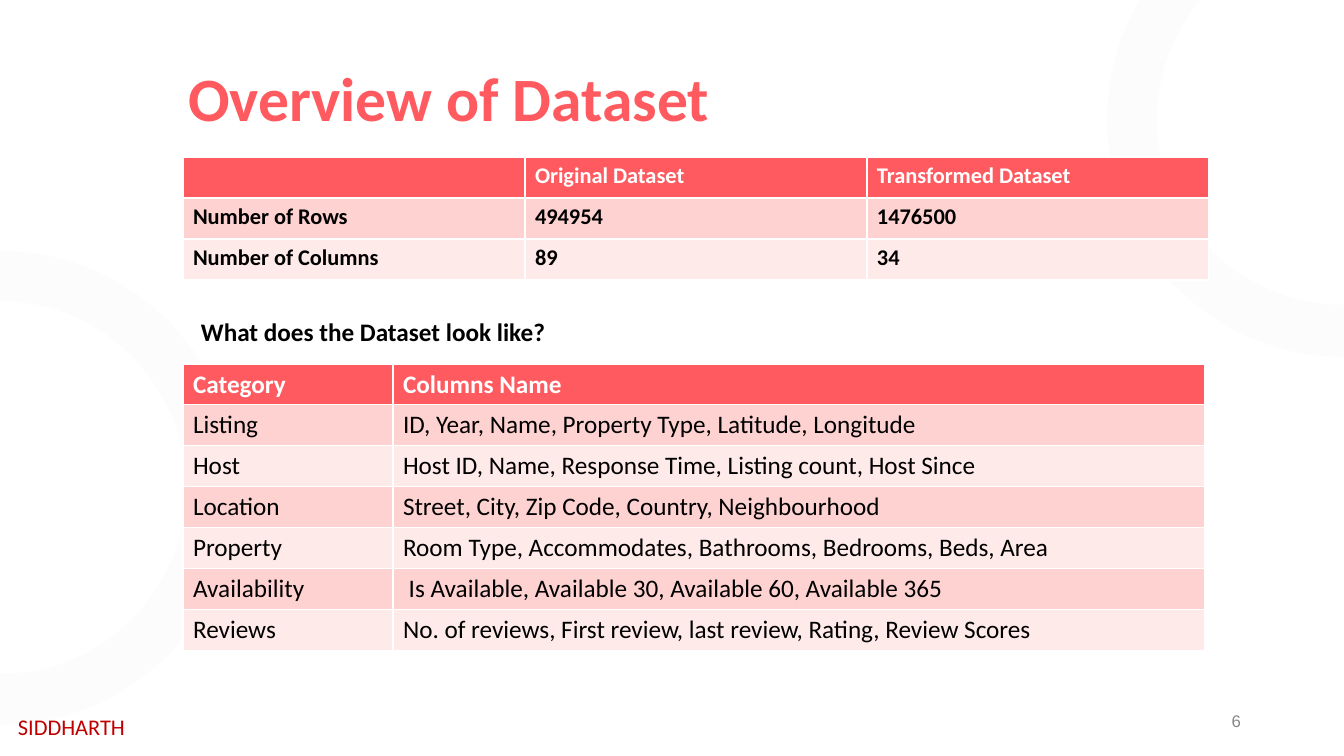
"""Build the dataset overview slide with its two tables."""
import pptx
import pptx.dml.color
import pptx.enum.text
import pptx.oxml.ns
import pptx.util
from lxml import etree

PX = 914400 / 100.8
COLORS = {
    "coral": "FF5A5F", "pink": "FFD2D2", "blush": "FFEAEA", "white": "FFFFFF",
    "black": "000000", "red": "C00000", "gray": "888888", "ring": "F2F2F2",
}
ALIGN = pptx.enum.text.PP_ALIGN
ANCHOR = pptx.enum.text.MSO_ANCHOR
qn = pptx.oxml.ns.qn


def px(*lengths):
    return [round(length * PX) for length in lengths]


def write(frame, text, size, color, bold=False, font="Calibri", align=ALIGN.LEFT):
    frame.word_wrap = True
    para = frame.paragraphs[0]
    para.text = text
    para.alignment = align
    para.font.name = font
    para.font.size = pptx.util.Pt(size)
    para.font.bold = bold
    para.font.color.rgb = pptx.dml.color.RGBColor.from_string(COLORS[color])


deck = pptx.Presentation()
deck.slide_width, deck.slide_height = px(1344, 756)
page = deck.slides.add_slide(deck.slide_layouts[5])

# One point is a straight step, three points are a curve
rings = [
    ((0, 251), [
        [(131, 251), (237, 357), (237, 488)], [(237, 619), (131, 725), (0, 725)],
        [(0, 674)],
        [(103, 674), (186, 591), (186, 488)], [(186, 385), (103, 301), (0, 301)],
    ]),
    ((1140, 0), [
        [(1200, 0)],
        [(1173, 33), (1157, 74), (1157, 120)], [(1157, 223), (1241, 305), (1344, 305)],
        [(1344, 357)],
        [(1213, 357), (1107, 250), (1107, 120)], [(1107, 79), (1118, 38), (1136, 7)],
    ]),
]
for depth, (start, steps) in enumerate(rings):
    builder = page.shapes.build_freeform(*px(*start))
    builder.add_line_segments([px(*point) for step in steps for point in step])
    ring = builder.convert_to_shape()
    lines = iter(ring.element.findall(".//" + qn("a:lnTo")))
    for step in steps:
        line = next(lines)
        if len(step) == 3:
            line.tag_name = None
            curve = etree.Element(qn("a:cubicBezTo"))
            line.addprevious(curve)
            for part in (line, next(lines), next(lines)):
                curve.append(part[0])
                part.getparent().remove(part)
    ring.shadow.inherit = False
    ring.line.fill.background()
    ring.fill.solid()
    ring.fill.fore_color.rgb = pptx.dml.color.RGBColor.from_string(COLORS["ring"])
    tint = ring.element.spPr.find(".//" + qn("a:srgbClr"))
    etree.SubElement(tint, qn("a:alpha"), val="20000")
    page.shapes.element.insert(2 + depth, ring.element)

title = page.shapes.title
title.left, title.top, title.width, title.height = px(109, 60, 1126, 83)
title.text_frame.auto_size = pptx.enum.text.MSO_AUTO_SIZE.NONE
title.text_frame.vertical_anchor = ANCHOR.MIDDLE
title.text_frame.margin_left = px(79)[0]
write(title.text_frame, "Overview of Dataset", 44, "coral", bold=True)
title.text_frame.paragraphs[0].line_spacing = 0.9

size_rows = [
    ("", "Original Dataset", "Transformed Dataset"),
    ("Number of Rows", "494954", "1476500"),
    ("Number of Columns", "89", "34"),
]
category_rows = [
    ("Category", "Columns Name"),
    ("Listing", "ID, Year, Name, Property Type, Latitude, Longitude"),
    ("Host", "Host ID, Name, Response Time, Listing count, Host Since"),
    ("Location", "Street, City, Zip Code, Country, Neighbourhood"),
    ("Property", "Room Type, Accommodates, Bathrooms, Bedrooms, Beds, Area"),
    ("Availability", " Is Available, Available 30, Available 60, Available 365"),
    ("Reviews", "No. of reviews, First review, last review, Rating, Review Scores"),
]
tables = [
    (size_rows, 157, [342, 342, 342], 41, 16, True),
    (category_rows, 364, [210, 812], 40, 18, False),
]
for rows, top, widths, header_height, size, bold_body in tables:
    heights = [header_height] + [41] * (len(rows) - 1)
    place = px(183, top, sum(widths), sum(heights))
    table = page.shapes.add_table(len(rows), len(widths), *place).table
    for column, width in zip(table.columns, px(*widths)):
        column.width = width
    for row_index, texts in enumerate(rows):
        header = row_index == 0
        shade = "coral" if header else ("blush", "pink")[row_index % 2]
        table.rows[row_index].height = px(heights[row_index])[0]
        for column_index, text in enumerate(texts):
            cell = table.cell(row_index, column_index)
            write(cell.text_frame, text, size, "white" if header else "black",
                  bold=header or bold_body)
            cell.fill.solid()
            cell.fill.fore_color.rgb = pptx.dml.color.RGBColor.from_string(COLORS[shade])

labels = [
    ((1, 311, 716, 40), 200, ANCHOR.TOP,
     ("What does the Dataset look like?", 18, "black", True)),
    ((8, 708, 250, 37), 10, ANCHOR.TOP, ("SIDDHARTH", 16, "red")),
    ((949, 701, 302, 40), 10, ANCHOR.MIDDLE,
     ("6", 12, "gray", False, "Arial", ALIGN.RIGHT)),
]
for place, indent, anchor, content in labels:
    box = page.shapes.add_textbox(*px(*place))
    box.text_frame.margin_left = px(indent)[0]
    box.text_frame.vertical_anchor = anchor
    write(box.text_frame, *content)

deck.save("out.pptx")
